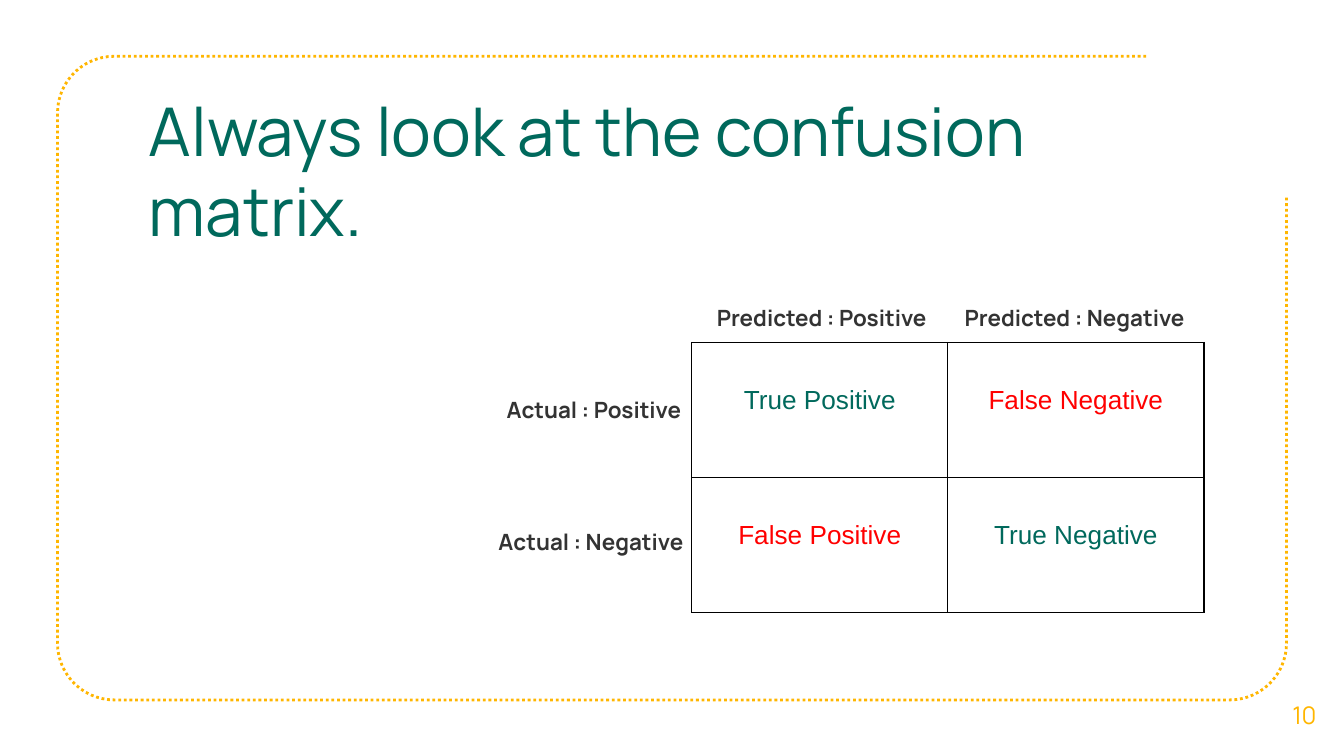
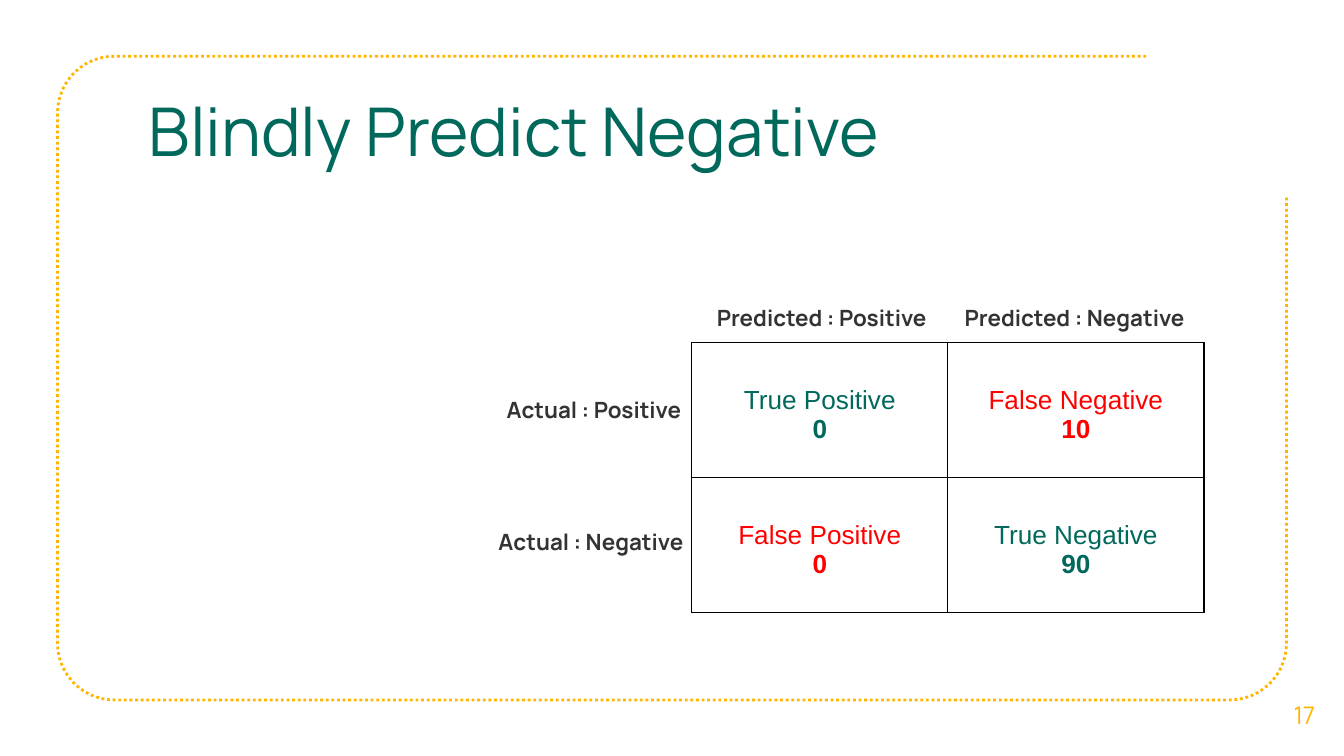
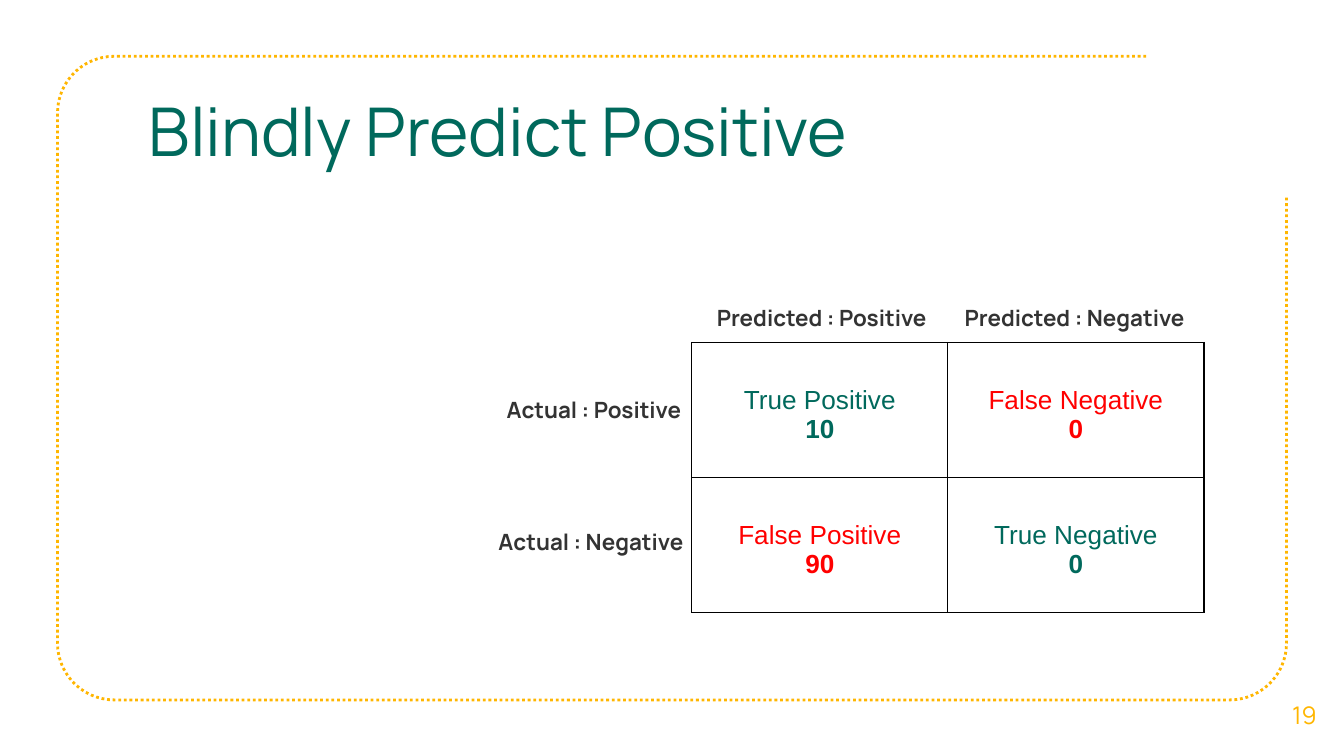
from dataclasses import dataclass
from math import cos, radians, sin

from lxml import etree
from pptx import Presentation
from pptx.dml.color import RGBColor
from pptx.enum.dml import MSO_LINE
from pptx.enum.text import MSO_ANCHOR, MSO_AUTO_SIZE, PP_ALIGN
from pptx.oxml.ns import qn
from pptx.util import Pt

DOTTED = MSO_LINE.ROUND_DOT
TOP, MIDDLE = MSO_ANCHOR.TOP, MSO_ANCHOR.MIDDLE
LEFT, CENTER = PP_ALIGN.LEFT, PP_ALIGN.CENTER
NO_FIT = MSO_AUTO_SIZE.NONE

# Content: title, page number, counts in the order of OUTCOMES
SLIDES = [
    ("Always look at the confusion matrix.", "10", None),
    ("Blindly Predict Negative", "17", [["0", "10"], ["0", "90"]]),
    ("Blindly Predict Positive", "19", [["10", "0"], ["90", "0"]]),
]
OUTCOMES = [
    ["True Positive", "False Negative"],
    ["False Positive", "True Negative"],
]
# Axis labels: text, (left, top, width, height), alignment
AXIS_LABELS = [
    ("Predicted : Positive", (365, 155.5, 150.5, 30), CENTER),
    ("Predicted : Negative", (497, 155.5, 157.5, 30), CENTER),
    ("Actual : Positive", (264.3, 205, 124.5, 30), LEFT),
    ("Actual : Negative", (260, 275.8, 133, 30), LEFT),
]


@dataclass(frozen=True)
class Theme:
    green: str = "00695C"
    red: str = "FF0000"
    amber: str = "FFB600"
    dark: str = "333333"
    grid: str = "000000"
    font: str = "Manrope"
    cell_font: str = "Arial"
    title_size: float = 36
    cell_size: float = 14
    page_size: float = 13
    label_size: float = 12


THEME = Theme()

# Layout in points
SLIDE_SIZE = (720, 405)
TITLE_BOX = (72.6, 40.4, 541, 67.6)
PAGE_BOX = (677.6, 361.4, 42.4, 43.2)
MATRIX_LEFT, MATRIX_TOP = 370.6, 183.4
CELL_WIDTH, CELL_HEIGHT = 137.2, 72.3
CELL_TOP_MARGIN = 23.3
GRID_WIDTH = 0.75
INSET = 7.2
FRAME = (30.8, 30.2, 689.2, 375)
FRAME_RADIUS = 30.4
FRAME_TOP_END, FRAME_RIGHT_END = 614, 105


def place(shape, box):
    shape.left, shape.top, shape.width, shape.height = map(Pt, box)


def style(paragraph, font, size, color, bold=False, align=LEFT):
    paragraph.alignment = align
    for run in paragraph.runs:
        run.font.name = font
        run.font.size = Pt(size)
        run.font.bold = bold
        run.font.color.rgb = RGBColor.from_string(color)


def set_margins(target, top=INSET):
    target.margin_left = target.margin_right = target.margin_bottom = Pt(INSET)
    target.margin_top = Pt(top)


def write(shape, text, size, color, bold=False, align=LEFT, anchor=TOP):
    frame = shape.text_frame
    frame.text = text
    frame.word_wrap = True
    frame.auto_size = NO_FIT
    frame.vertical_anchor = anchor
    set_margins(frame)
    style(frame.paragraphs[0], THEME.font, size, color, bold, align)


def add_label(slide, text, box, *args, **kwargs):
    write(slide.shapes.add_textbox(*map(Pt, box)), text, *args, **kwargs)


def add_frame(slide):
    """Dotted outline, open at the top right corner."""
    left, top, right, bottom = FRAME
    corners = [  # centre of the arc, starting angle
        (left + FRAME_RADIUS, top + FRAME_RADIUS, 270),
        (left + FRAME_RADIUS, bottom - FRAME_RADIUS, 180),
        (right - FRAME_RADIUS, bottom - FRAME_RADIUS, 90),
    ]
    points = [
        (x + FRAME_RADIUS * cos(radians(start - turn)),
         y + FRAME_RADIUS * sin(radians(start - turn)))
        for x, y, start in corners
        for turn in range(0, 91, 6)
    ] + [(right, FRAME_RIGHT_END)]
    builder = slide.shapes.build_freeform(Pt(FRAME_TOP_END), Pt(top))
    builder.add_line_segments([(Pt(x), Pt(y)) for x, y in points], close=False)
    outline = builder.convert_to_shape()
    outline.shadow.inherit = False
    outline.fill.background()
    outline.line.color.rgb = RGBColor.from_string(THEME.amber)
    outline.line.width = Pt(1.5)
    outline.line.dash_style = DOTTED


def add_borders(cell):
    properties = cell._tc.get_or_add_tcPr()
    for position, side in enumerate(("lnL", "lnR", "lnT", "lnB")):
        border = etree.Element(qn(f"a:{side}"), w=str(Pt(GRID_WIDTH)))
        fill = etree.SubElement(border, qn("a:solidFill"))
        etree.SubElement(fill, qn("a:srgbClr"), val=THEME.grid)
        properties.insert(position, border)


def fill_cell(cell, outcome, count):
    color = THEME.green if outcome.startswith("True") else THEME.red
    cell.text = f"{outcome}\n{count}" if count else outcome
    for index, paragraph in enumerate(cell.text_frame.paragraphs):
        style(paragraph, THEME.cell_font, THEME.cell_size, color, index > 0, CENTER)
    set_margins(cell, CELL_TOP_MARGIN)
    cell.vertical_anchor = TOP
    cell.fill.background()
    add_borders(cell)


def add_matrix(slide, counts):
    rows, columns = len(OUTCOMES), len(OUTCOMES[0])
    box = (MATRIX_LEFT, MATRIX_TOP, columns * CELL_WIDTH, rows * CELL_HEIGHT)
    matrix = slide.shapes.add_table(rows, columns, *map(Pt, box)).table
    matrix.first_row = matrix.horz_banding = False
    for r, outcomes in enumerate(OUTCOMES):
        for c, outcome in enumerate(outcomes):
            fill_cell(matrix.cell(r, c), outcome, counts[r][c] if counts else None)


def add_slide(deck, title, page, counts):
    slide = deck.slides.add_slide(deck.slide_layouts.get_by_name("Title Only"))
    add_frame(slide)
    place(slide.shapes.title, TITLE_BOX)
    write(slide.shapes.title, title, THEME.title_size, THEME.green)
    add_label(slide, page, PAGE_BOX, THEME.page_size, THEME.amber,
              align=CENTER, anchor=MIDDLE)
    add_matrix(slide, counts)
    for text, box, align in AXIS_LABELS:
        add_label(slide, text, box, THEME.label_size, THEME.dark,
                  bold=True, align=align)


def main():
    deck = Presentation()
    deck.slide_width, deck.slide_height = map(Pt, SLIDE_SIZE)
    for title, page, counts in SLIDES:
        add_slide(deck, title, page, counts)
    deck.save("out.pptx")


if __name__ == "__main__":
    main()
